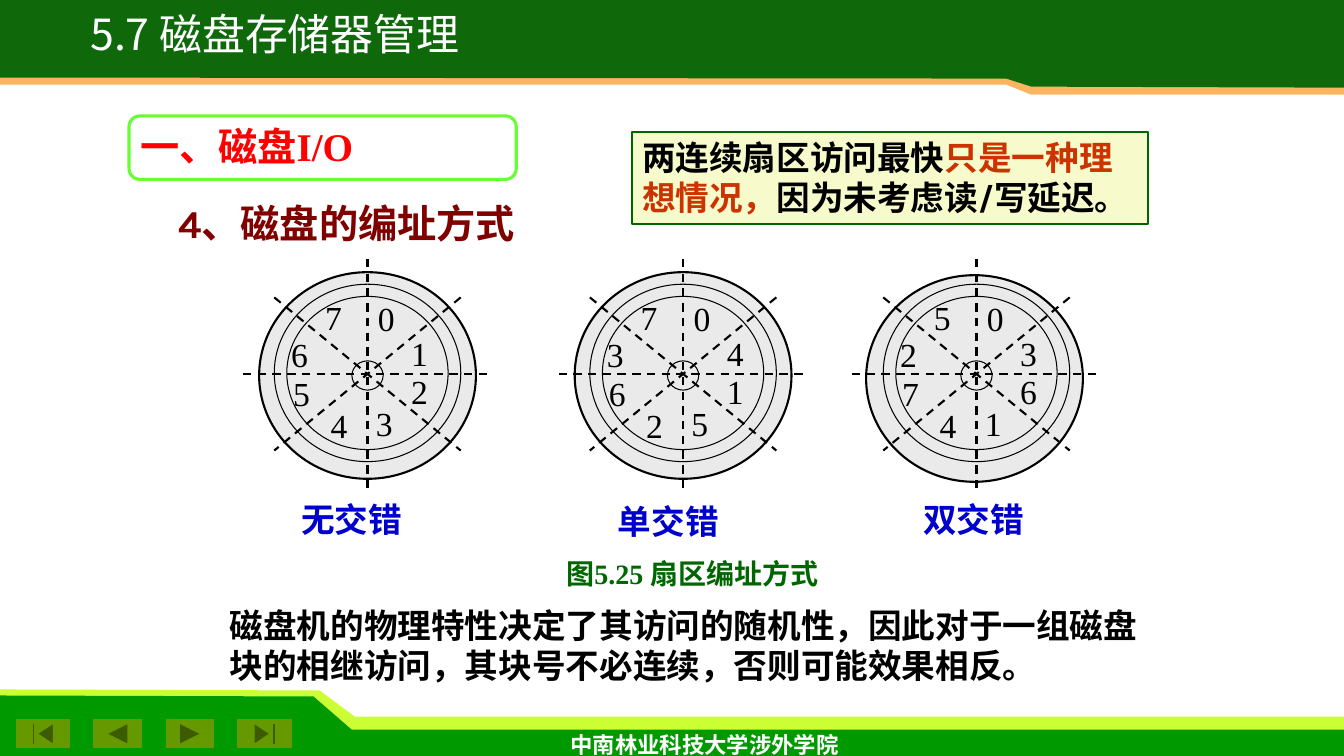
from lxml import etree
from pptx import Presentation
from pptx.dml.color import RGBColor
from pptx.enum.dml import MSO_LINE
from pptx.enum.shapes import MSO_CONNECTOR, MSO_SHAPE
from pptx.enum.text import MSO_ANCHOR, PP_ALIGN
from pptx.oxml.ns import qn
from pptx.util import Inches, Pt

LEFT, CENTER, JUSTIFY = PP_ALIGN.LEFT, PP_ALIGN.CENTER, PP_ALIGN.JUSTIFY
TOP = MSO_ANCHOR.TOP
DASH = MSO_LINE.DASH
STRAIGHT = MSO_CONNECTOR.STRAIGHT
ELLIPSE, RECT, ROUND_RECT = MSO_SHAPE.OVAL, MSO_SHAPE.RECTANGLE, MSO_SHAPE.ROUNDED_RECTANGLE
BUTTONS = [
    (MSO_SHAPE.ACTION_BUTTON_BEGINNING, 1.6, 5.3),
    (MSO_SHAPE.ACTION_BUTTON_BACK_OR_PREVIOUS, 9.3, 4.7),
    (MSO_SHAPE.ACTION_BUTTON_FORWARD_OR_NEXT, 16.5, 4.7),
    (MSO_SHAPE.ACTION_BUTTON_END, 23.6, 5.3),
]

# Grid of 133.3 columns by 75 rows; every length below is in cells
CELL = Inches(0.1)
COLS, ROWS = 133.3, 75

COLORS = {
    "white": "FFFFFF", "black": "000000", "lime": "CCFF33", "green": "009900",
    "button": "669900", "orange": "FBB561", "header": "0F690B", "disk": "EAEAEA",
    "blue": "0000CC", "caption": "006600", "note": "F7FACA", "accent": "CC3300",
    "frame": "66FF33", "red": "FF0000", "maroon": "800000",
}
SERIF, SANS, TITLE = "Times New Roman", "Karla", "Noto Sans CJK SC"
FORMATS = {
    "title": {"name": TITLE, "size": Pt(30.6)},
    "section": {"name": SERIF, "size": Pt(28), "bold": True},
    "topic": {"name": SANS, "size": Pt(28), "bold": True},
    "body": {"name": SANS, "size": Pt(24), "bold": True},
    "label": {"name": SERIF, "size": Pt(24), "bold": True},
    "figure": {"name": SERIF, "size": Pt(20), "bold": True},
    "digit": {"name": SERIF, "size": Pt(24)},
    "footer": {"name": SANS, "size": Pt(16), "bold": True},
}

# Disk geometry, relative to the hub
HUB_ROW = 37.1
RINGS = [(21.5, 20.5, 0.15), (18.5, 17.6, -0.1), (16, 15.2, -0.1), (3.1, 2.9, 0.15)]
SPOKES = [(0, 11.4), (12.35, 0), (9.25, 7.6), (-9.25, 7.6)]
SECTORS = [(0.05, -8), (3.35, -4.6), (3.35, -0.8), (-0.15, 2.4),
           (-4.65, 2.6), (-8.35, -0.6), (-8.55, -4.5), (-5.2, -8.1)]
# Hub column, sector numbers clockwise, shift of the outer ring, name, name box
DISKS = [
    (36.45, "01234567", (0, 0), "无交错", (28.9, 49, 17, 5.6)),
    (67.75, "04152637", (0, 0), "单交错", (60.3, 49.2, 15.8, 5.6)),
    (96.85, "03614725", (-0.2, 0.3), "双交错", (90.6, 49, 13.9, 5.6)),
]


def cells(*values):
    return [int(round(v * CELL)) for v in values]


def rgb(color):
    return RGBColor.from_string(COLORS[color])


def paint(sp, fill=None, line=None, width=0.75, opacity=None):
    sp.shadow.inherit = False
    if fill:
        sp.fill.solid()
        sp.fill.fore_color.rgb = rgb(fill)
        if opacity:
            node = sp.fill._xPr.find(qn("a:solidFill"))[0]
            etree.SubElement(node, qn("a:alpha"), val=str(opacity * 1000))
    else:
        sp.fill.background()
    if line:
        sp.line.color.rgb = rgb(line)
        sp.line.width = Pt(width)
    else:
        sp.line.fill.background()


def add_preset(shapes, kind, box, **look):
    sp = shapes.add_shape(kind, *cells(*box))
    paint(sp, **look)
    return sp


def add_band(shapes, points, fill, opacity=None):
    start, *rest = [cells(*point) for point in points]
    builder = shapes.build_freeform(*start)
    builder.add_line_segments(rest, close=True)
    paint(builder.convert_to_shape(), fill=fill, opacity=opacity)


def write(sp, runs, style, align=LEFT, wrap=True):
    tf = sp.text_frame
    tf.word_wrap = wrap
    tf.vertical_anchor = TOP
    p = tf.paragraphs[0]
    p.alignment = align
    for text, color in runs:
        r = p.add_run()
        r.text = text
        for key, value in FORMATS[style].items():
            setattr(r.font, key, value)
        r.font.color.rgb = rgb(color)
    return p


def add_text(shapes, box, text, style, color, align=LEFT, wrap=True):
    return write(shapes.add_textbox(*cells(*box)), [(text, color)], style, align, wrap)


def add_spoke(shapes, hub, dx, dy):
    line = shapes.add_connector(
        STRAIGHT, *cells(hub - dx, HUB_ROW - dy, hub + dx, HUB_ROW + dy))
    line.line.color.rgb = rgb("black")
    line.line.width = Pt(1.5)
    line.line.dash_style = DASH
    etree.SubElement(line._element.spPr, qn("a:effectLst"))


def add_disk(shapes, hub, numbers, shift):
    group = shapes.add_group_shape().shapes
    for i, (w, h, dy) in enumerate(RINGS):
        sx, sy = (0, 0) if i else shift
        box = (hub - w / 2 + sx, HUB_ROW + dy - h / 2 + sy, w, h)
        add_preset(group, ELLIPSE, box, fill=None if i else "disk",
                   line="black", width=0.75 if i else 1.5)
    for dx, dy in SPOKES:
        add_spoke(group, hub, dx, dy)
    for number, (dx, dy) in zip(numbers, SECTORS):
        add_text(group, (hub + dx, HUB_ROW + dy, 4.5, 5.5), number, "digit", "black", JUSTIFY)


def main():
    prs = Presentation()
    prs.slide_width, prs.slide_height = cells(COLS, ROWS)
    shapes = prs.slides.add_slide(prs.slide_layouts[6]).shapes

    # Footer bands, buttons and school name
    add_band(shapes, [(0, 74), (COLS, 74), (COLS, 71.1), (35.2, 71.1),
                      (31.7, 68.5), (0, 68.4)], "lime")
    add_band(shapes, [(0, ROWS), (COLS, ROWS), (COLS, 72.4), (34.9, 72.4),
                      (31.1, 69.1), (0, 69)], "green")
    for kind, left, width in BUTTONS:
        add_preset(shapes, kind, (left, 71.4, width, 2.8), fill="button", line="button")
    add_text(shapes, (55.6, 72, 29.2, 3.7), "中南林业科技大学涉外学院",
             "footer", "white", wrap=False)

    # Header bands and title
    add_band(shapes, [(COLS, 0), (0, 0), (0, 8.4), (99.8, 8.4),
                      (102.3, 9.4), (COLS, 9.4)], "orange")
    add_band(shapes, [(COLS, 0), (0, 0), (0, 7.7), (99.8, 7.8),
                      (102.3, 8.6), (COLS, 8.7)], "header")
    add_band(shapes, [(100.6, 9.4), (132, 9.4), (131.9, 9.9), (101.9, 10)], "white", 30)
    p = add_text(shapes, (5.2, 1.3, 44.1, 5.5), "5.7 磁盘存储器管理",
                 "title", "white", CENTER, wrap=False)
    p.line_spacing = 0.8

    # Disks with their names, and the figure caption
    for hub, numbers, shift, name, name_box in DISKS:
        add_disk(shapes, hub, numbers, shift)
        add_text(shapes, name_box, name, "label", "blue", JUSTIFY)
    add_text(shapes, (51.7, 54.7, 34, 5.6), "图5.25 扇区编址方式", "figure", "caption", CENTER)

    # Section heading and topic
    sp = add_preset(shapes, ROUND_RECT, (12.8, 11.5, 38.4, 6.3),
                    fill="white", line="frame", width=2.25, opacity=90)
    sp.adjustments[0] = 0.17
    add_text(shapes, (12.9, 11.6, 37.8, 5.7), "一、磁盘I/O", "section", "red")
    add_text(shapes, (16.7, 19.3, 35.8, 5.7), "4、磁盘的编址方式", "topic", "maroon")

    # Note and conclusion
    note = add_preset(shapes, RECT, (62.7, 13.1, 51.2, 9.1),
                      fill="note", line="caption", width=1.5)
    write(note, [("两连续扇区访问最快", "black"), ("只是一种理想情况，", "accent"),
                 ("因为未考虑读/写延迟。", "black")], "body")
    add_text(shapes, (21.8, 59.5, 92.1, 9.1),
             "磁盘机的物理特性决定了其访问的随机性，因此对于一组磁盘块的相继访问，"
             "其块号不必连续，否则可能效果相反。", "body", "black")

    prs.save("out.pptx")


if __name__ == "__main__":
    main()
